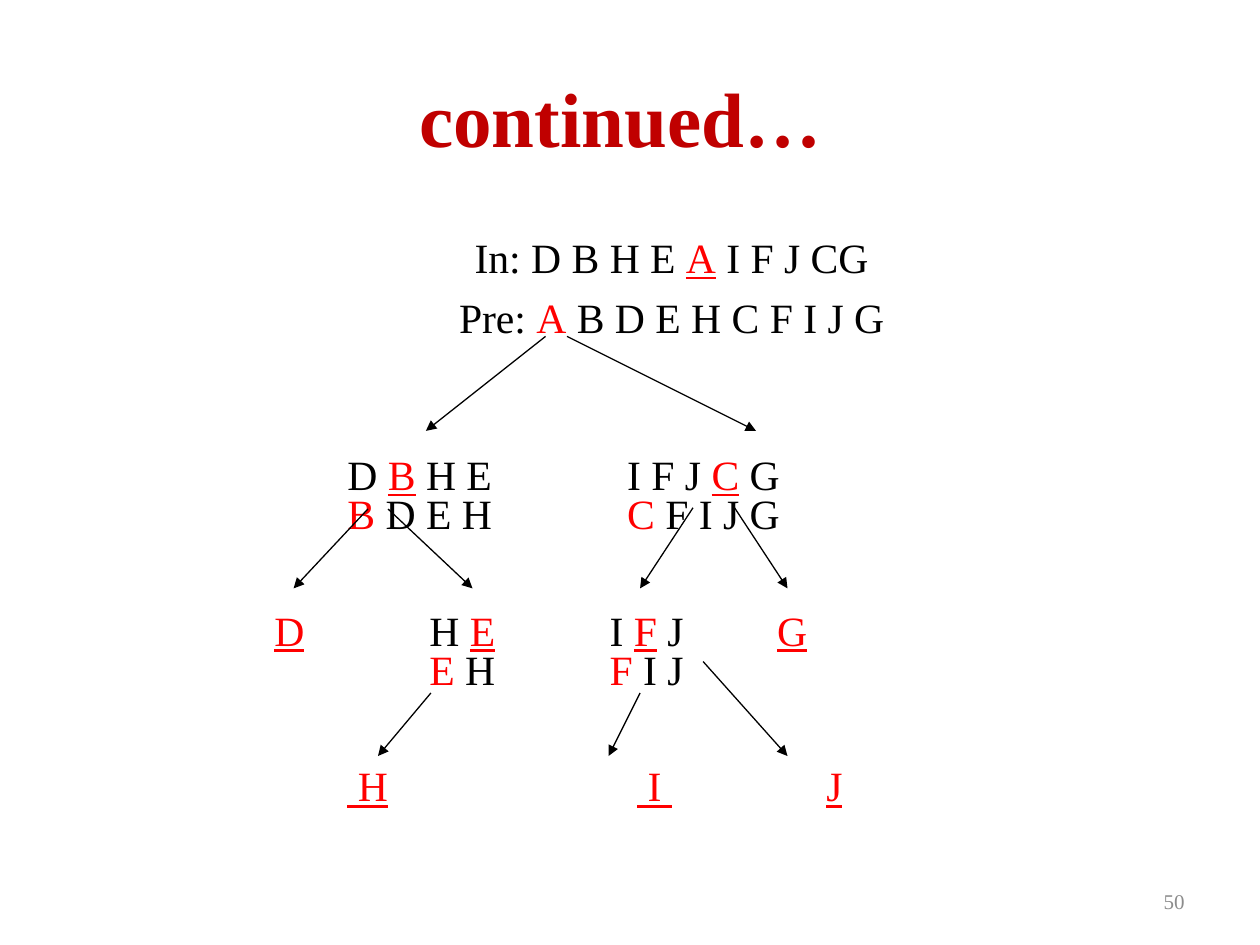
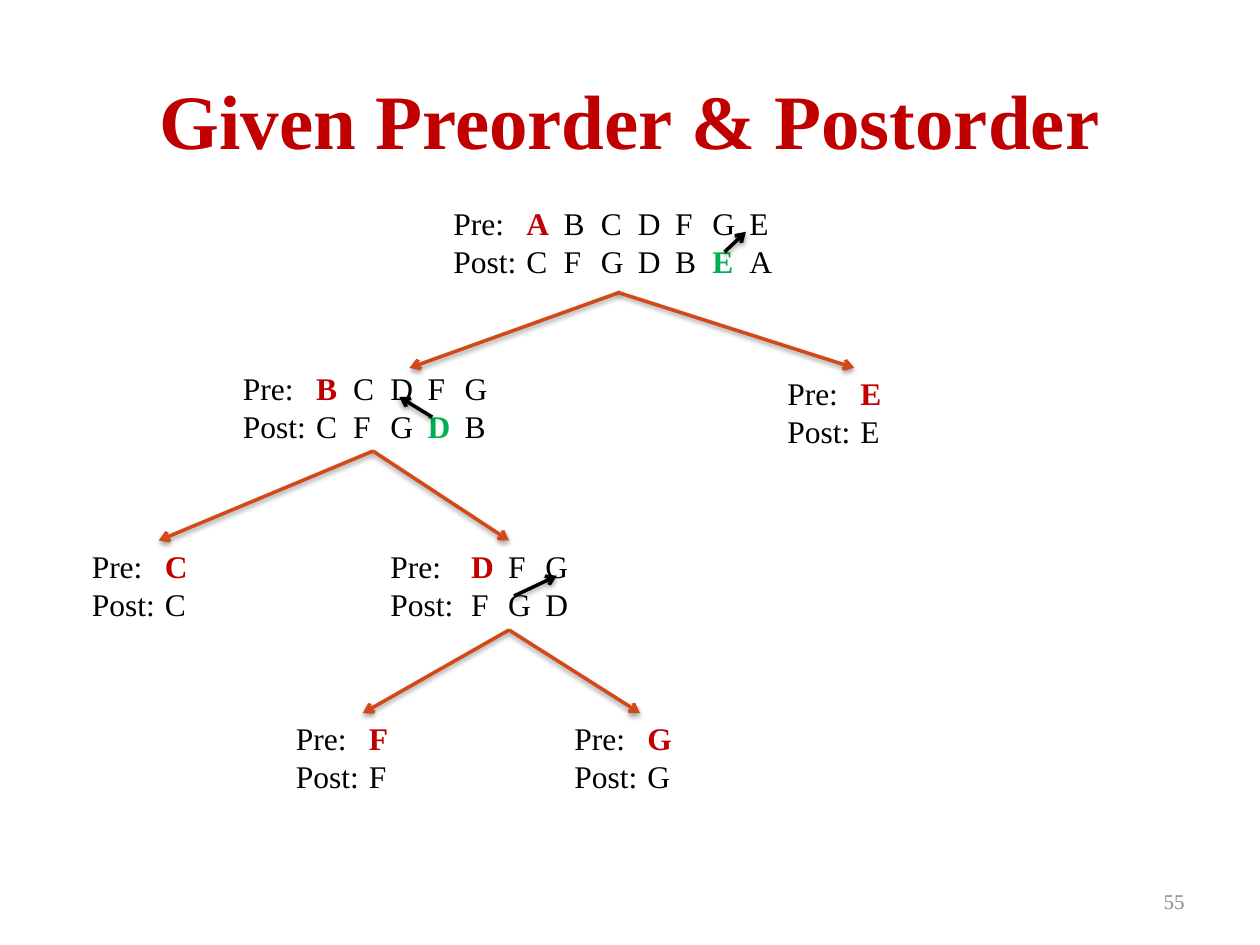
"""Build two slides that rebuild binary trees from their traversals."""
from dataclasses import dataclass

import pptx
import pptx.dml.color
import pptx.enum.shapes
import pptx.enum.text
import pptx.oxml
import pptx.oxml.ns
import pptx.util
from pptx.util import Inches

ALIGN = pptx.enum.text.PP_ALIGN
ANCHOR = pptx.enum.text.MSO_ANCHOR
NS = pptx.oxml.ns.nsdecls("a")


@dataclass(frozen=True)
class Theme:
    """Colours, type sizes and line widths shared by the slides."""
    font: str = "Times New Roman"
    ink: str = "000000"
    title: str = "C00000"
    mark: str = "FF0000"
    match: str = "00B050"
    edge: str = "D34817"
    number: str = "8C8C8C"
    title_size: float = 44
    body_size: float = 23.8
    node_size: float = 18
    number_size: float = 12
    thin: float = 0.75
    thick: float = 2


THEME = Theme()
ROOT = {"color": THEME.mark, "underline": True}
FIRST = {"color": THEME.mark}
PRE = {"color": THEME.title, "bold": True}
POST = {"color": THEME.match, "bold": True}
SHADOW = ('<a:outerShdw blurRad="39370" dist="20320" dir="5400000" rotWithShape="0">'
          '<a:srgbClr val="000000"><a:alpha val="38000"/></a:srgbClr></a:outerShdw>')


def add_run(p, text, color=THEME.ink, **fmt):
    """Append a run with its colour and font settings."""
    r = p.add_run()
    r.text = text
    for name, value in {"name": THEME.font, **fmt}.items():
        setattr(r.font, name, value)
    r.font.color.rgb = pptx.dml.color.RGBColor.from_string(color)


def add_marked(p, text, size, mark):
    """Append runs, giving the parts between asterisks the mark style."""
    for i, part in enumerate(text.split("*")):
        if part:
            add_run(p, part, size=pptx.util.Pt(size), **(mark if i % 2 else {}))


def set_tabs(p, stops):
    """Give a paragraph left tab stops, in inches."""
    tabs = "".join(f'<a:tab pos="{Inches(stop)}" algn="l"/>' for stop in stops)
    p._p.get_or_add_pPr().append(
        pptx.oxml.parse_xml(f"<a:tabLst {NS}>{tabs}</a:tabLst>"))


def add_box(shapes, box, **fmt):
    """Add a wrapping text box and return its text frame."""
    tf = shapes.add_textbox(*map(Inches, box)).text_frame
    for name, value in {"word_wrap": True, **fmt}.items():
        setattr(tf, name, value)
    return tf


def add_arrow(shapes, box, ends, color, width, head, effect=""):
    """Draw an arrow whose ends are measured from the corner of the box."""
    x, y = box[:2]
    x1, y1, x2, y2 = ends
    line = shapes.add_connector(
        pptx.enum.shapes.MSO_CONNECTOR.STRAIGHT,
        *map(Inches, (x + x1, y + y1, x + x2, y + y2)))
    line.line.color.rgb = pptx.dml.color.RGBColor.from_string(color)
    line.line.width = pptx.util.Pt(width)
    line.line._ln.append(pptx.oxml.parse_xml(f'<a:tailEnd {NS} type="{head}"/>'))
    line._element.spPr.append(
        pptx.oxml.parse_xml(f"<a:effectLst {NS}>{effect}</a:effectLst>"))


def add_slide(prs, title, title_top, number):
    """Add a blank slide with its title and slide number."""
    s = prs.slides.add_slide(prs.slide_layouts[6])
    for text, box, align, size, fmt in (
            (title, (0.5, title_top, 9, 1.25), ALIGN.CENTER, THEME.title_size,
             {"color": THEME.title, "bold": True}),
            (number, (7.17, 6.95, 2.33, 0.4), ALIGN.RIGHT, THEME.number_size,
             {"color": THEME.number})):
        p = add_box(s.shapes, box, vertical_anchor=ANCHOR.MIDDLE).paragraphs[0]
        p.alignment = align
        add_run(p, text, size=pptx.util.Pt(size), **fmt)
    return s


def add_split_text(s, box):
    """Write the traversals, split level by level, in tabbed columns."""
    gap, level_gap = 5.5, 49.3
    pair, leaves, bottom = (0.58, 2.8), (1.23, 2.66, 3.99), (0.58, 2.88, 4.38)
    rows = (
        ("In: D B H E *A* I F J CG", ROOT, 0, ()),
        ("Pre: *A* B D E H C F I J G", FIRST, gap, ()),
        ("\tD *B* H E\tI F J *C* G", ROOT, 71.2, pair),
        ("\t*B* D E H\t*C* F I J G", FIRST, gap, pair),
        ("*D*\tH *E*\tI *F* J\t*G*", ROOT, level_gap, leaves),
        ("\t*E* H\t*F* I J", FIRST, gap, leaves),
        ("\t* H*\t* I *\t*J*", ROOT, level_gap, bottom),
    )
    tf = add_box(s.shapes, box, margin_top=Inches(0.09))
    for i, (text, mark, before, stops) in enumerate(rows):
        p = tf.add_paragraph() if i else tf.paragraphs[0]
        p.space_before = pptx.util.Pt(before)
        if stops:
            p.line_spacing = 0.6
            set_tabs(p, stops)
        else:
            p.alignment = ALIGN.CENTER
        add_marked(p, text, THEME.body_size, mark)


def add_split_arrows(s, box):
    """Draw the arrows from each traversal pair to its subtrees."""
    for ends in (
            (2.25, 0.92, 1.3, 1.67), (2.42, 0.92, 3.92, 1.67),
            (0.84, 2.29, 0.25, 2.92), (1, 2.29, 1.67, 2.92),
            (3.42, 2.28, 3, 2.92), (3.75, 2.28, 4.17, 2.92),
            (3, 3.75, 2.75, 4.25), (3.5, 3.5, 4.17, 4.25),
            (1.34, 3.75, 0.92, 4.25)):
        add_arrow(s.shapes, box, ends, THEME.ink, THEME.thin, "triangle")


def add_node(shapes, box, pre, post, first_stop=0.58):
    """Write one node's preorder and postorder on a shared letter grid."""
    tf = add_box(shapes, box)
    rows = ((tf.paragraphs[0], f"Pre: {pre}", PRE),
            (tf.add_paragraph(), f"Post: {post}", POST))
    for p, text, mark in rows:
        set_tabs(p, [first_stop + 0.295 * i for i in range(7)])
        add_marked(p, text.replace(" ", "\t"), THEME.node_size, mark)


def add_order_tree(s, box):
    """Draw the preorder and postorder tree with edges and match arrows."""
    x, y = box[:2]
    height, leaf = 0.71, 1.25
    add_node(s.shapes, (x + 2.87, y, 2.83, height),
             "*A* B C D F G E", "C F G D B *E* A")
    children = (
        (1.2, 1.31, 2.25, ("*B* C D F G", "C F G *D* B"), (4.29, 0.75, 2.62, 1.35)),
        (5.52, 1.35, leaf, ("*E*", "E"), (4.27, 0.75, 6.15, 1.35)),
        (0, 2.72, leaf, ("*C*", "C"), (2.33, 2.01, 0.63, 2.72)),
        (2.37, 2.72, 2.08, ("*D* F G", "F G D", 0.64), (2.33, 2.01, 3.41, 2.72)),
        (1.62, 4.09, leaf, ("*F*", "F"), (3.41, 3.43, 2.25, 4.09)),
        (3.83, 4.09, leaf, ("*G*", "G"), (3.41, 3.43, 4.45, 4.09)),
    )
    for left, top, width, orders, edge in children:
        shapes = s.shapes.add_group_shape().shapes
        add_node(shapes, (x + left, y + top, width, height), *orders)
        add_arrow(shapes, box, edge, THEME.edge, THEME.thick, "arrow", SHADOW)
    for match in ((5.12, 0.43, 5.29, 0.27), (2.8, 1.74, 2.54, 1.58),
                  (3.45, 3.16, 3.79, 3)):
        add_arrow(s.shapes, box, match, THEME.ink, THEME.thick, "arrow", SHADOW)


def main():
    """Build both slides and save the presentation."""
    prs = pptx.Presentation()
    prs.slide_width, prs.slide_height = Inches(10), Inches(7.5)

    s = add_slide(prs, "continued… ", 0.3, "50")
    split_box = (2.08, 1.75, 6.5, 4.95)
    add_split_text(s, split_box)
    add_split_arrows(s, split_box)

    s = add_slide(prs, "Given Preorder & Postorder", 0.32, "55")
    add_order_tree(s, (0.63, 1.57, 6.77, 4.8))

    prs.save("out.pptx")


if __name__ == "__main__":
    main()
